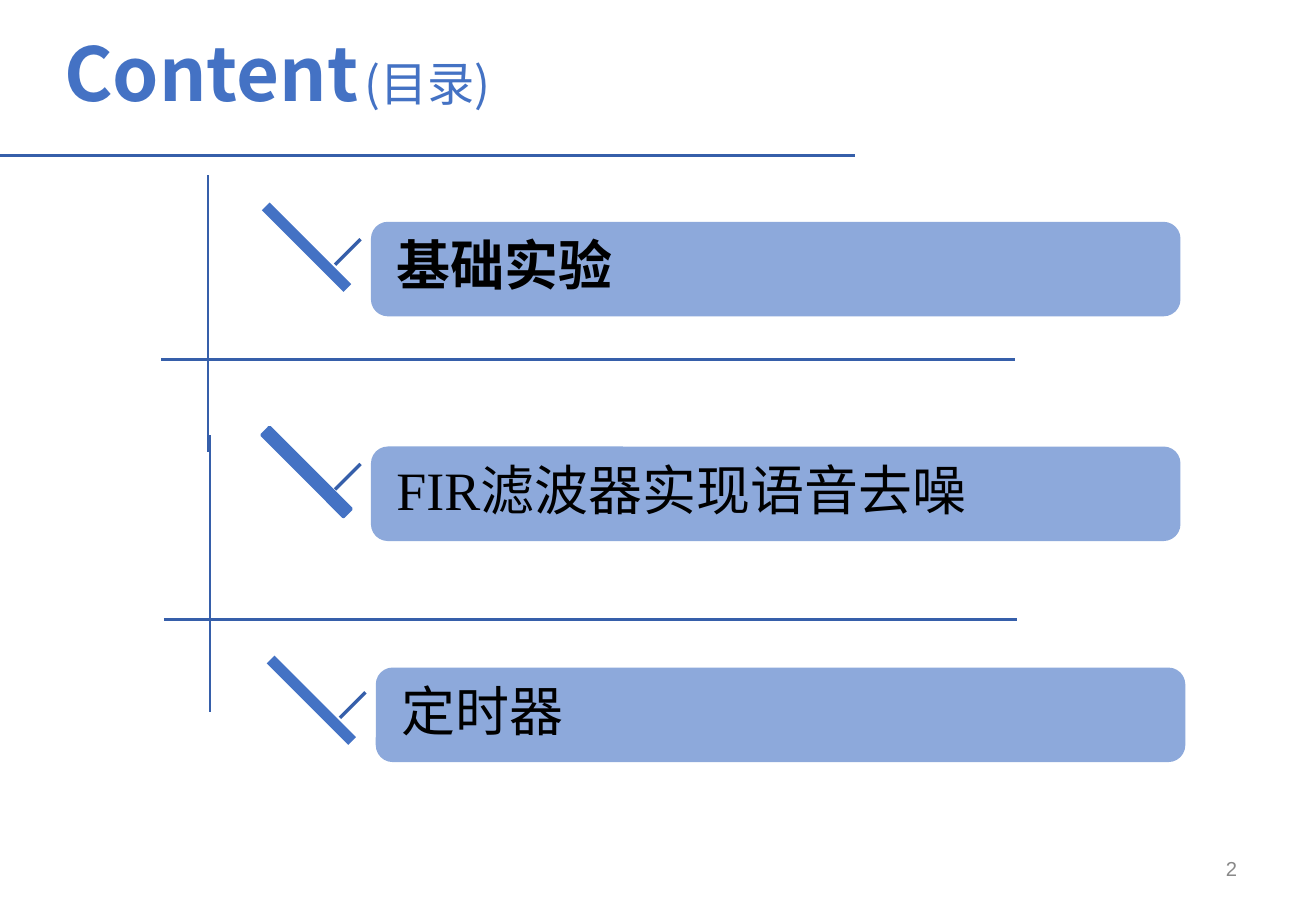
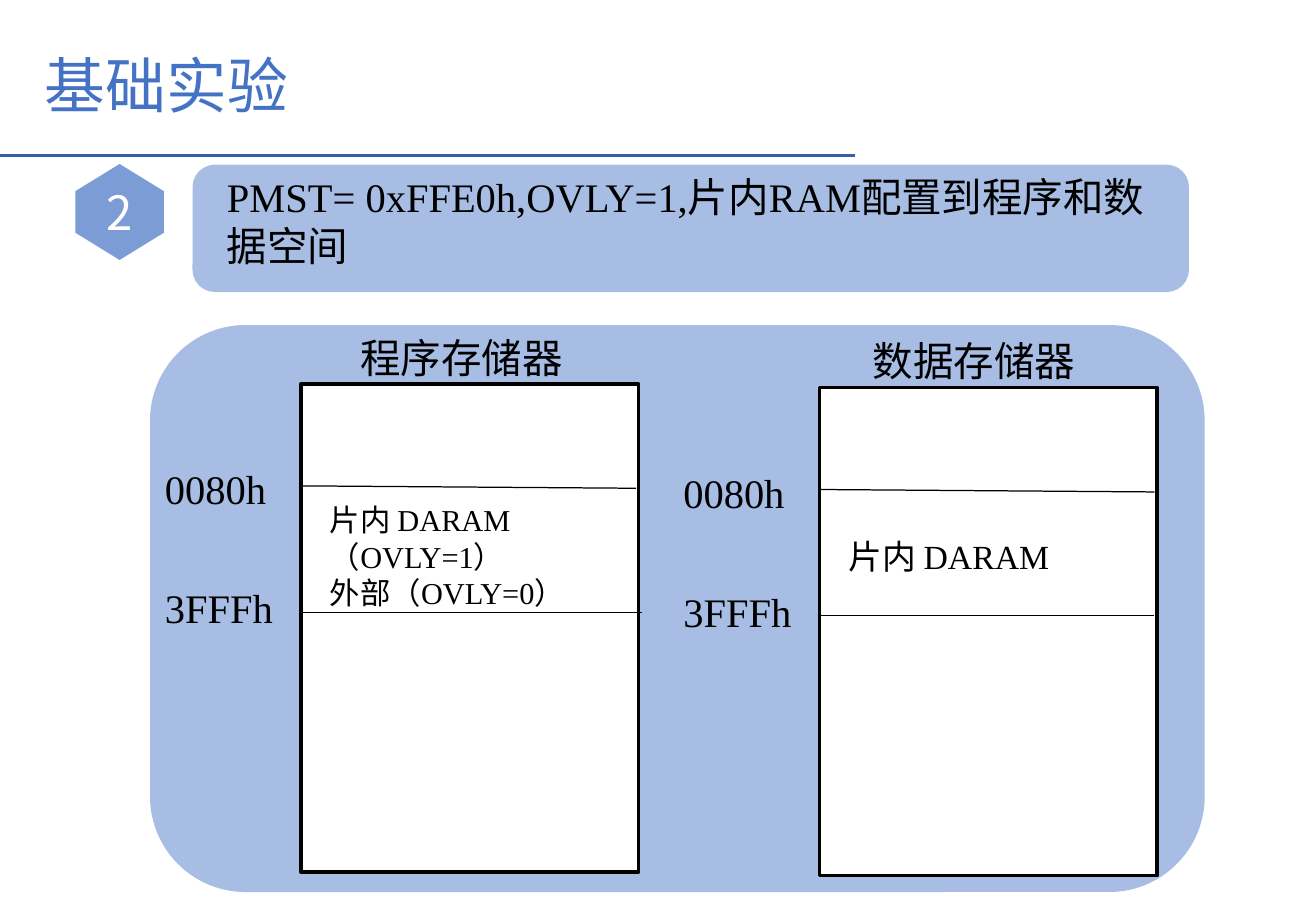
from lxml import etree
from pptx import Presentation
from pptx.dml.color import RGBColor
from pptx.enum.shapes import MSO_CONNECTOR, MSO_SHAPE
from pptx.enum.text import MSO_ANCHOR, MSO_AUTO_SIZE, PP_ALIGN
from pptx.oxml.ns import qn
from pptx.util import Inches, Pt

LINE = MSO_CONNECTOR.STRAIGHT
RECT, ROUND, HEX = MSO_SHAPE.RECTANGLE, MSO_SHAPE.ROUNDED_RECTANGLE, MSO_SHAPE.HEXAGON
TOP, MID = MSO_ANCHOR.TOP, MSO_ANCHOR.MIDDLE
FIXED = MSO_AUTO_SIZE.NONE
LEFT, CENTER, RIGHT = PP_ALIGN.LEFT, PP_ALIGN.CENTER, PP_ALIGN.RIGHT

HEXES = {
    "blue": "4472C4", "rule": "365FAA", "bar": "8DA9DB", "panel": "A7BDE3",
    "badge": "7C9CD5", "gray": "898989", "black": "000000", "white": "FFFFFF",
}
SANS, SERIF, PLAIN = "Noto Sans CJK SC", "Times New Roman", "Arial"
INSETS = (0.1, 0.05, 0.1, 0.05)


def tint(name):
    return RGBColor.from_string(HEXES[name])


def style(font, size, color="black", face=SERIF, bold=False):
    font.size = Pt(size)
    font.bold = bold
    font.color.rgb = tint(color)
    font.name = face
    etree.SubElement(font._rPr, qn("a:ea")).set("typeface", SANS)


def set_frame(shape, insets=INSETS, anchor=TOP):
    frame = shape.text_frame
    frame.word_wrap = True
    frame.auto_size = FIXED
    frame.vertical_anchor = anchor
    sides = [Inches(side) for side in insets]
    frame.margin_left, frame.margin_top, frame.margin_right, frame.margin_bottom = sides
    return frame


def write(shape, text, size, color="black", face=SERIF, bold=False,
          align=LEFT, anchor=TOP, insets=INSETS):
    frame = set_frame(shape, insets, anchor)
    frame.text = text
    for para in frame.paragraphs:
        para.alignment = align
        style(para.font, size, color, face, bold)
    return frame


def label(slide, box, text, size, **look):
    area = slide.shapes.add_textbox(*map(Inches, box))
    write(area, text, size, **look)


def block(slide, kind, box, fill, edge=None, turn=0):
    shape = slide.shapes.add_shape(kind, *map(Inches, box))
    shape.shadow.inherit = False
    shape.fill.solid()
    shape.fill.fore_color.rgb = tint(fill)
    if edge:
        shape.line.color.rgb = tint(edge)
        shape.line.width = Pt(2)
    else:
        shape.line.fill.background()
    shape.rotation = turn
    return shape


def rule(slide, start, end, color="rule", width=1.25):
    line = slide.shapes.add_connector(LINE, *map(Inches, start + end))
    line.line.color.rgb = tint(color)
    line.line.width = Pt(width)
    etree.SubElement(line._element.spPr, qn("a:effectLst"))


def begin(deck, box, before):
    slide = deck.slides.add_slide(deck.slide_layouts[5])
    rule(slide, (0, 1.28), (7.04, 1.28))
    title = slide.shapes.title
    title.left, title.top, title.width, title.height = map(Inches, box)
    para = set_frame(title).paragraphs[0]
    para.alignment = LEFT
    para.space_before = Pt(before)
    return slide, para


def cross(slide, x, y):
    rule(slide, (x - 0.38, y), (x + 6.65, y))
    rule(slide, (x, y + 0.76), (x, y - 1.52))


def topic(slide, x, y, top, text, bold=False, edge=None):
    block(slide, RECT, (x - 0.59, y - 0.41, 0.09, 0.95), "blue", edge, 315)
    rule(slide, (x - 0.1, y), (x - 0.31, y + 0.21), width=2)
    bar = block(slide, ROUND, (x, top, 6.64, 0.75), "bar", "bar")
    write(bar, text, 32, bold=bold, insets=(0.16, 0.03, 0.1, 0.05))


def memory(slide, x, y, name, shift, end):
    block(slide, RECT, (x, y, 2.78, 4.02), "white", "black")
    rule(slide, (x, y + 0.84), (x + 2.76, y + 0.86), "black", 0.75)
    rule(slide, (x, y + 1.88), (x + end, y + 1.88), "black", 0.75)
    label(slide, (x + shift, y - 0.47, 2.54, 0.5), name, 24)
    for step, text in ((0.61, "0080h"), (1.59, "3FFFh")):
        label(slide, (x - 1.22, y + step, 1.32, 0.5), text, 24)


def contents(deck):
    slide, para = begin(deck, (0.43, 0.32, 8.7, 0.71), 7)
    para.line_spacing = 0.8
    for text, size, bold in (("Content", 44, True), (" ", 14, True), ("(目录)", 28, False)):
        run = para.add_run()
        run.text = text
        style(run.font, size, "blue", SANS, bold)
    cross(slide, 1.71, 2.96)
    cross(slide, 1.73, 5.1)
    topic(slide, 3.07, 1.97, 1.84, "基础实验", bold=True)
    topic(slide, 3.07, 3.82, 3.69, "FIR滤波器实现语音去噪", edge="blue")
    topic(slide, 3.11, 5.7, 5.51, "定时器")
    label(slide, (7.76, 6.95, 2.53, 0.4), "2", 12, color="gray",
          face=PLAIN, align=RIGHT, anchor=MID)


def basics(deck):
    slide, para = begin(deck, (0.27, 0.34, 8.87, 0.71), 9)
    para.text = "基础实验"
    style(para.font, 36, "blue", SANS)
    badge = block(slide, HEX, (0.59, 1.38, 0.79, 0.73), "badge", turn=90)
    badge.adjustments[0] = 0.307
    frame = write(badge, "2", 28, "white", SANS, align=CENTER, anchor=MID)
    frame._txBody.bodyPr.set("rot", "-5400000")
    bar = block(slide, ROUND, (1.6, 1.37, 8.18, 1.02), "panel", "panel")
    write(bar, "PMST= 0xFFE0h,OVLY=1,片内RAM配置到程序和数据空间", 24,
          insets=(0.22, 0, 0.19, 0))
    block(slide, ROUND, (1.25, 2.69, 8.66, 4.64), "panel", "panel")
    memory(slide, 2.48, 3.16, "程序存储器", 0.39, 2.81)
    memory(slide, 6.75, 3.19, "数据存储器", 0.34, 2.76)
    label(slide, (2.62, 4.08, 2.54, 1), "片内 DARAM\n（OVLY=1）\n外部（OVLY=0）", 18)
    label(slide, (6.89, 4.36, 2.54, 0.44), "片内 DARAM", 20)


def main():
    deck = Presentation()
    deck.slide_width, deck.slide_height = Inches(10.84), Inches(7.5)
    contents(deck)
    basics(deck)
    deck.save("out.pptx")


if __name__ == "__main__":
    main()
